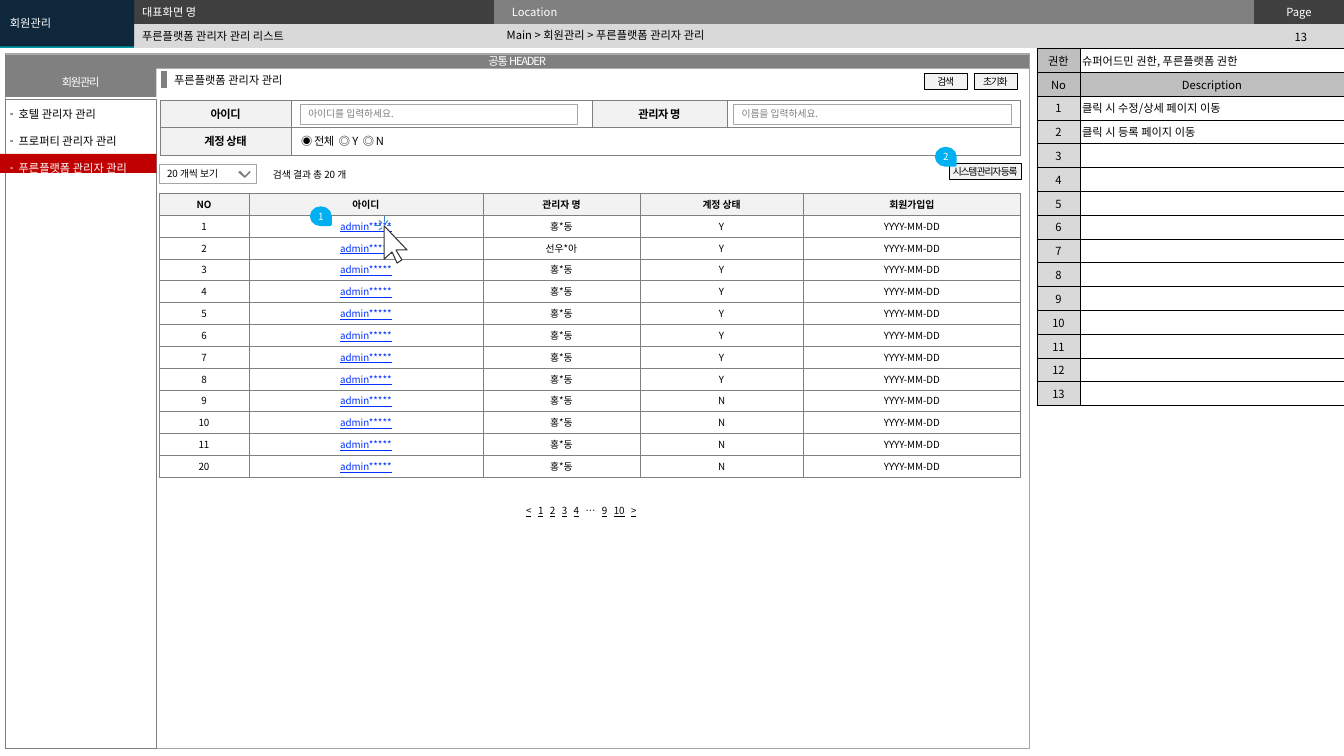
from lxml import etree
from pptx import Presentation
from pptx.dml.color import RGBColor
from pptx.enum import shapes, text
from pptx.oxml import ns
from pptx.util import Cm, Pt

FONT = "Noto Sans CJK KR"
BLACK = RGBColor(0x00, 0x00, 0x00)
WHITE = RGBColor(0xFF, 0xFF, 0xFF)
NAVY = RGBColor(0x0E, 0x27, 0x3B)
TEAL = RGBColor(0x00, 0x9C, 0xA6)
CHARCOAL = RGBColor(0x40, 0x40, 0x40)
CURSOR_LINE = RGBColor(0x33, 0x33, 0x33)
CHEVRON = RGBColor(0x5F, 0x5F, 0x5F)
GRAY = RGBColor(0x80, 0x80, 0x80)
MID_GRAY = RGBColor(0xA6, 0xA6, 0xA6)
SILVER = RGBColor(0xBF, 0xBF, 0xBF)
LIGHT_GRAY = RGBColor(0xD9, 0xD9, 0xD9)
PALE_GRAY = RGBColor(0xF2, 0xF2, 0xF2)
LINK_BLUE = RGBColor(0x04, 0x32, 0xFF)
MARKER_BLUE = RGBColor(0x00, 0xB0, 0xF0)
RAY_BLUE = RGBColor(0x34, 0x83, 0xCB)
RED = RGBColor(0xC0, 0x00, 0x00)

LEFT, CENTER = text.PP_ALIGN.LEFT, text.PP_ALIGN.CENTER
TOP, MIDDLE = text.MSO_ANCHOR.TOP, text.MSO_ANCHOR.MIDDLE


def add_xml(parent, tag, **attributes):
    return etree.SubElement(parent, ns.qn(tag), attributes)


def write(holder, content, size=8, color=BLACK, bold=False, underline=False, align=LEFT, anchor=MIDDLE,
          margins=(0.25, 0.13), tracking=0, gap=0, bullet=None, line_spacing=None, last_color=None):
    """Fill a text frame or a table cell; each line is a paragraph, each | a space widened by gap points."""
    frame = getattr(holder, "text_frame", holder)
    holder.margin_left = holder.margin_right = Cm(margins[0])
    holder.margin_top = holder.margin_bottom = Cm(margins[1])
    holder.vertical_anchor = anchor
    lines = content.split("\n")
    for number, line in enumerate(lines):
        paragraph = frame.add_paragraph() if number else frame.paragraphs[0]
        paragraph.alignment = align
        paragraph.space_before = Pt(0)
        if line_spacing:
            paragraph.line_spacing = Pt(line_spacing)
        properties = paragraph._p.get_or_add_pPr()
        indent = Cm(0.22) if bullet else 0
        properties.set("marL", str(indent))
        properties.set("indent", str(-indent))
        if bullet:
            add_xml(properties, "a:buChar", char=bullet)
        else:
            add_xml(properties, "a:buNone")
        if not line:
            add_xml(paragraph._p, "a:endParaRPr", sz=str(size * 100))
            continue
        for index, part in enumerate(line.split("|")):
            for piece in (" ", part) if index else (part,):
                run = paragraph.add_run()
                run.text = piece
                font = run.font
                font.size, font.bold, font.name = Pt(size), bold, FONT
                font.underline = underline and piece not in " …"
                font.color.rgb = last_color if last_color and line == lines[-1] else color
                run_properties = run._r.get_or_add_rPr()
                spacing = gap if piece == " " else tracking
                if spacing:
                    run_properties.set("spc", str(round(spacing * 100)))
                add_xml(run_properties, "a:ea", typeface=FONT)


def paint(shape, fill=None, line=None, width=0.25):
    shape.shadow.inherit = False
    if fill is None:
        shape.fill.background()
    else:
        shape.fill.solid()
        shape.fill.fore_color.rgb = fill
    if line is None:
        shape.line.fill.background()
    else:
        shape.line.color.rgb = line
        shape.line.width = Pt(width)


def add_box(slide, left, top, width, height, content="", fill=None, line=None, line_width=0.25,
            kind=shapes.MSO_SHAPE.RECTANGLE, **style):
    shape = slide.shapes.add_shape(kind, Cm(left), Cm(top), Cm(width), Cm(height))
    paint(shape, fill, line, line_width)
    if content:
        write(shape.text_frame, content, **style)
    return shape


def add_text(slide, left, top, width, height, content, **style):
    box = slide.shapes.add_textbox(Cm(left), Cm(top), Cm(width), Cm(height))
    box.text_frame.word_wrap = True
    write(box.text_frame, content, anchor=TOP, **style)


def place(slide, placeholder, left, top, width, height, content, **style):
    """Move a placeholder, bring it to the front and fill it."""
    placeholder.left, placeholder.top = Cm(left), Cm(top)
    placeholder.width, placeholder.height = Cm(width), Cm(height)
    slide.shapes.element.append(placeholder.element)
    placeholder.text_frame.auto_size = text.MSO_AUTO_SIZE.NONE
    write(placeholder.text_frame, content, **style)


def add_grid(slide, left, top, widths, row_height, row_count, border=None, border_width=0.25):
    frame = slide.shapes.add_table(row_count, len(widths), Cm(left), Cm(top),
                                   Cm(sum(widths)), Cm(row_height * row_count))
    table = frame.table
    table.first_row = table.horz_banding = False
    for column, width in zip(table.columns, widths):
        column.width = Cm(width)
    for row in table.rows:
        row.height = Cm(row_height)
    for cell in table.iter_cells():
        properties = cell._tc.get_or_add_tcPr()
        for side in ("a:lnL", "a:lnR", "a:lnT", "a:lnB"):
            edge = add_xml(properties, side, w=str(Pt(border_width)))
            if border is None:
                add_xml(edge, "a:noFill")
            else:
                add_xml(add_xml(edge, "a:solidFill"), "a:srgbClr", val=str(border))
    return table


def fill_cell(cell, content="", fill=WHITE, **style):
    cell.fill.solid()
    cell.fill.fore_color.rgb = fill
    write(cell, content, **style)


def add_path(slide, contours, fill=None, line=None):
    """Draw contours given in hundredths of a centimetre; filled ones are closed."""
    builder = slide.shapes.build_freeform(*contours[0][0], scale=Cm(0.01))
    for number, (start, *points) in enumerate(contours):
        if number:
            builder.move_to(*start)
        builder.add_line_segments(points, close=fill is not None)
    paint(builder.convert_to_shape(), fill, line, 0.75)


def add_marker(slide, left, top, content):
    marker = add_box(slide, left, top, 0.43, 0.48, content, MARKER_BLUE, MARKER_BLUE, 2,
                     shapes.MSO_SHAPE.TEAR, size=7, color=WHITE, align=CENTER, margins=(0, 0))
    marker.rotation = 90
    marker.text_frame._txBody.bodyPr.set("vert", "vert270")


def add_page_header(slide, title, location, screen_label, section):
    table = add_grid(slide, 0, 0, (3.38, 9.07, 19.15, 2.27), 0.6, 2)
    fills = ((TEAL, CHARCOAL, GRAY, CHARCOAL), (TEAL,) + (LIGHT_GRAY,) * 3)
    labels = {(0, 2): ("Location", LEFT), (0, 3): ("Page", CENTER)}
    for row, row_fills in enumerate(fills):
        for column, fill in enumerate(row_fills):
            content, align = labels.get((row, column), ("", LEFT))
            fill_cell(table.cell(row, column), content, fill, color=WHITE, align=align,
                      anchor=TOP, margins=(0.45, 0.09))
    table.cell(0, 0).merge(table.cell(1, 0))
    add_text(slide, 31.7, 0.64, 2.17, 0.61, "13", align=CENTER)
    place(slide, title, 3.33, 0.62, 9.22, 0.56, "푸른플랫폼 관리자 관리 리스트")
    place(slide, location, 12.52, 0.58, 18.75, 0.61, "Main > 회원관리 > 푸른플랫폼 관리자 관리")
    place(slide, screen_label, 3.33, 0, 9.19, 0.56, "대표화면 명", color=WHITE, anchor=TOP)
    place(slide, section, 0, 0, 3.38, 1.17, "회원관리", color=WHITE)
    section.fill.solid()
    section.fill.fore_color.rgb = NAVY


def add_description(slide):
    table = add_grid(slide, 26.13, 1.22, (1.09, 6.65), 0.6, 15, BLACK, 0.5)
    notes = ["슈퍼어드민 권한, 푸른플랫폼 권한", "Description", "클릭 시 수정/상세 페이지 이동", "클릭 시 등록 페이지 이동"]
    for row in range(15):
        label = ("권한", "No")[row] if row < 2 else str(row - 1)
        note = notes[row] if row < len(notes) else ""
        heading = row == 1
        fill_cell(table.cell(row, 0), label, SILVER if row < 2 else LIGHT_GRAY, align=CENTER, margins=(0.05, 0.09))
        fill_cell(table.cell(row, 1), note, SILVER if heading else WHITE,
                  align=CENTER if heading else LEFT, margins=(0.05, 0.09))


def add_search(slide):
    table = add_grid(slide, 4.03, 2.52, (3.31, 7.58, 3.4, 7.4), 0.69, 2, GRAY)
    for cell in table.iter_cells():
        fill_cell(cell)
    for row, column, label in ((0, 0, "아이디"), (0, 2, "관리자 명"), (1, 0, "계정 상태")):
        fill_cell(table.cell(row, column), label, PALE_GRAY, bold=True, align=CENTER, tracking=-0.3)
    table.cell(1, 1).merge(table.cell(1, 3))
    fill_cell(table.cell(1, 1), "◉ 전체|◎ Y|◎ N", tracking=-0.3, gap=1.5)
    for left, hint in ((7.57, "아이디를 입력하세요."), (18.49, "이름을 입력하세요.")):
        add_box(slide, left, 2.62, 6.99, 0.51, hint, WHITE, MID_GRAY, 0.5, size=7, color=GRAY, margins=(0.2, 0.1))
    for left, top, width, label in ((23.29, 1.85, 1.09, "검색"), (24.54, 1.85, 1.09, "초기화"),
                                    (23.93, 4.11, 1.8, "시스템 관리자 등록")):
        add_box(slide, left, top, width, 0.41, label, PALE_GRAY, BLACK, size=7,
                align=CENTER, margins=(0, 0), tracking=-0.9)


def add_results(slide):
    add_text(slide, 6.63, 4.12, 2.8, 0.56, "검색 결과 총 20 개", size=7)
    add_box(slide, 4.01, 4.14, 2.46, 0.48, "20 개씩 보기", WHITE, MID_GRAY, 0.5, size=7, margins=(0.2, 0.1))
    add_path(slide, [[(630, 434), (630, 432), (617, 445), (605, 432), (602, 434), (617, 447)]], CHEVRON, GRAY)
    rows = [("NO", "아이디", "관리자 명", "계정 상태", "회원가입입")]
    for number in (*range(1, 12), 20):
        rows.append((str(number), "admin*****", "선우*아" if number == 2 else "홍*동",
                     "Y" if number < 9 else "N", "YYYY-MM-DD"))
    table = add_grid(slide, 4.01, 4.87, (2.26, 5.9, 3.96, 4.11, 5.48), 0.55, len(rows), GRAY)
    for row, values in enumerate(rows):
        for column, value in enumerate(values):
            link = row > 0 and column == 1
            fill_cell(table.cell(row, column), value, WHITE if row else PALE_GRAY, size=7, bold=row == 0,
                      color=LINK_BLUE if link else BLACK, underline=link, align=CENTER, margins=(0.25, 0.08))
    add_text(slide, 13.06, 12.62, 4.5, 0.51, "<|1|2|3|4|…|9|10|>", size=7, underline=True,
             margins=(0.2, 0.1), gap=3.1)


def add_cursor(slide):
    add_path(slide, [[(1013, 655), (998, 630), (1026, 630), (968, 569), (968, 653), (988, 635), (1001, 663)]],
             WHITE, CURSOR_LINE)
    add_path(slide, [[(963, 574), (955, 579)], [(963, 561), (955, 556)], [(973, 561), (978, 556)],
                     [(960, 569), (942, 569)], [(968, 559), (968, 544)], [(975, 569), (986, 569)]], line=RAY_BLUE)


def main():
    presentation = Presentation()
    presentation.slide_width, presentation.slide_height = Cm(33.87), Cm(19.05)
    slide = presentation.slides.add_slide(presentation.slide_layouts[4])
    title, screen_label, location, section, menu = slide.placeholders

    # Page header and screen frame
    add_page_header(slide, title, location, screen_label, section)
    add_box(slide, 0.13, 1.35, 25.81, 17.5, line=MID_GRAY)
    add_box(slide, 0.13, 2.49, 3.81, 16.36, line=GRAY)
    for top, width, height, label in ((1.37, 25.81, 0.36, "공통 HEADER"), (1.7, 3.81, 0.74, "회원관리")):
        add_box(slide, 0.13, top, width, height, label, GRAY, color=WHITE, align=CENTER,
                margins=(0.1, 0), tracking=-0.9)

    # Screen title with its accent bar
    add_text(slide, 4.14, 1.73, 6.12, 0.61, "푸른플랫폼 관리자 관리")
    bar = slide.shapes.add_connector(shapes.MSO_CONNECTOR.STRAIGHT, Cm(4.14), Cm(1.8), Cm(4.14), Cm(2.21))
    bar.line.color.rgb, bar.line.width = GRAY, Pt(4.5)
    add_xml(bar.element.spPr, "a:effectLst")

    # Content
    add_description(slide)
    add_search(slide)
    add_results(slide)

    # Callouts and pointer
    add_marker(slide, 7.87, 5.21, "1")
    add_marker(slide, 23.62, 3.71, "2")
    add_cursor(slide)

    # Side menu
    add_box(slide, 0, 3.88, 3.94, 0.48, fill=RED)
    place(slide, menu, 0, 2.23, 3.92, 2.21, "호텔 관리자 관리\n프로퍼티 관리자 관리\n푸른플랫폼 관리자 관리",
          anchor=TOP, bullet="-", line_spacing=19.3, last_color=WHITE)
    presentation.save("out.pptx")


if __name__ == "__main__":
    main()
